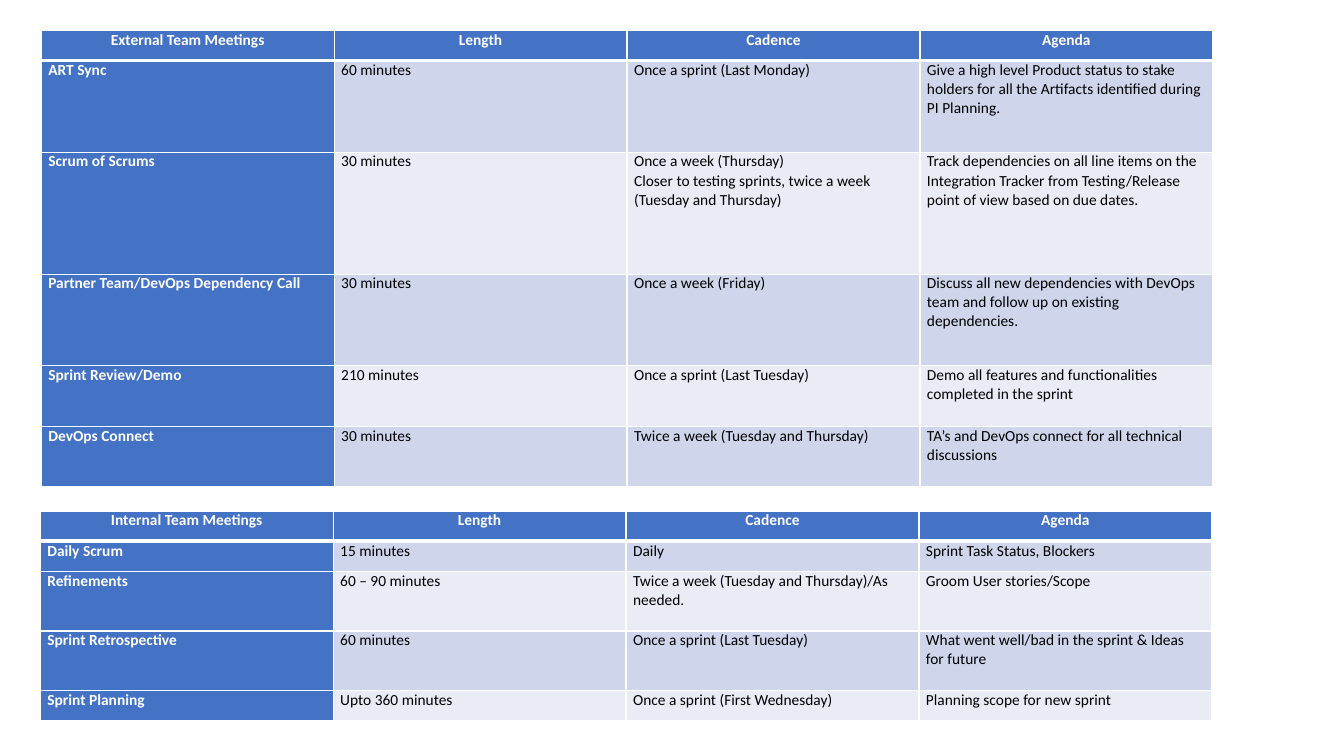
from lxml import etree
from pptx import Presentation
from pptx.dml.color import RGBColor
from pptx.enum.text import PP_ALIGN
from pptx.oxml.ns import qn
from pptx.util import Inches, Pt

CENTER, LEFT = PP_ALIGN.CENTER, PP_ALIGN.LEFT
COLORS = {
    "heading": "4472C4",
    "odd_row": "CFD5EA",
    "even_row": "E9EBF5",
    "border": "FFFFFF",
    "heading_text": "FFFFFF",
    "body_text": "000000",
}
TABLE_WIDTH = 11.62
DETAIL_HEADINGS = ["Length", "Cadence", "Agenda"]

EXTERNAL_MEETINGS = [
    ["External Team Meetings", *DETAIL_HEADINGS],
    ["ART Sync", "60 minutes", "Once a sprint (Last Monday)",
     "Give a high level Product status to stake holders for all the Artifacts "
     "identified during PI Planning."],
    ["Scrum of Scrums", "30 minutes",
     "Once a week (Thursday)\n"
     "Closer to testing sprints, twice a week (Tuesday and Thursday)",
     "Track dependencies on all line items on the Integration Tracker from "
     "Testing/Release point of view based on due dates."],
    ["Partner Team/DevOps Dependency Call", "30 minutes", "Once a week (Friday)",
     "Discuss all new dependencies with DevOps team and follow up on existing "
     "dependencies."],
    ["Sprint Review/Demo", "210 minutes", "Once a sprint (Last Tuesday)",
     "Demo all features and functionalities completed in the sprint"],
    ["DevOps Connect", "30 minutes", "Twice a week (Tuesday and Thursday)",
     "TA’s and DevOps connect for all technical discussions"],
]
INTERNAL_MEETINGS = [
    ["Internal Team Meetings", *DETAIL_HEADINGS],
    ["Daily Scrum", "15 minutes", "Daily", "Sprint Task Status, Blockers"],
    ["Refinements", "60 – 90 minutes",
     "Twice a week (Tuesday and Thursday)/As needed.", "Groom User stories/Scope"],
    ["Sprint Retrospective", "60 minutes", "Once a sprint (Last Tuesday)",
     "What went well/bad in the sprint & Ideas for future"],
    ["Sprint Planning", "Upto 360 minutes", "Once a sprint (First Wednesday)",
     "Planning scope for new sprint"],
]


def set_borders(cell, top, bottom):
    """Draw all four cell borders; top and bottom are widths in points."""
    properties = cell._tc.get_or_add_tcPr()
    widths = {"a:lnL": 1, "a:lnR": 1, "a:lnT": top, "a:lnB": bottom}
    for position, (tag, width) in enumerate(widths.items()):
        line = etree.Element(qn(tag), w=str(Pt(width)))
        fill = etree.SubElement(line, qn("a:solidFill"))
        etree.SubElement(fill, qn("a:srgbClr"), val=COLORS["border"])
        properties.insert(position, line)


def fill_cell(cell, text, row, column):
    is_header = row == 0
    is_heading = is_header or column == 0
    band = "odd_row" if row % 2 else "even_row"
    cell.fill.solid()
    cell.fill.fore_color.rgb = RGBColor.from_string(
        COLORS["heading" if is_heading else band])
    set_borders(cell, top=3 if row == 1 else 1, bottom=3 if is_header else 1)
    cell.margin_left = cell.margin_right = Inches(0.07)
    cell.margin_top = cell.margin_bottom = 0
    cell.text = text
    for paragraph in cell.text_frame.paragraphs:
        paragraph.alignment = CENTER if is_header else LEFT
        font = paragraph.font
        font.name = "Calibri"
        font.size = Pt(11)
        font.bold = is_heading
        font.color.rgb = RGBColor.from_string(
            COLORS["heading_text" if is_heading else "body_text"])


def add_meeting_table(slide, left, top, meetings, row_heights):
    column_count = len(meetings[0])
    table = slide.shapes.add_table(
        len(meetings), column_count, Inches(left), Inches(top),
        Inches(TABLE_WIDTH), Inches(sum(row_heights))).table
    for column in table.columns:
        column.width = Inches(TABLE_WIDTH / column_count)
    for row, (texts, height) in enumerate(zip(meetings, row_heights)):
        table.rows[row].height = Inches(height)
        for column, text in enumerate(texts):
            fill_cell(table.cell(row, column), text, row, column)


def main():
    presentation = Presentation()
    presentation.slide_width = Inches(13.33)
    presentation.slide_height = Inches(7.5)
    slide = presentation.slides.add_slide(presentation.slide_layouts[6])
    add_meeting_table(slide, 0.41, 0.3, EXTERNAL_MEETINGS,
                      [0.3, 0.91, 1.21, 0.91, 0.6, 0.6])
    add_meeting_table(slide, 0.4, 5.07, INTERNAL_MEETINGS,
                      [0.3, 0.3, 0.59, 0.59, 0.3])
    presentation.save("out.pptx")


if __name__ == "__main__":
    main()
